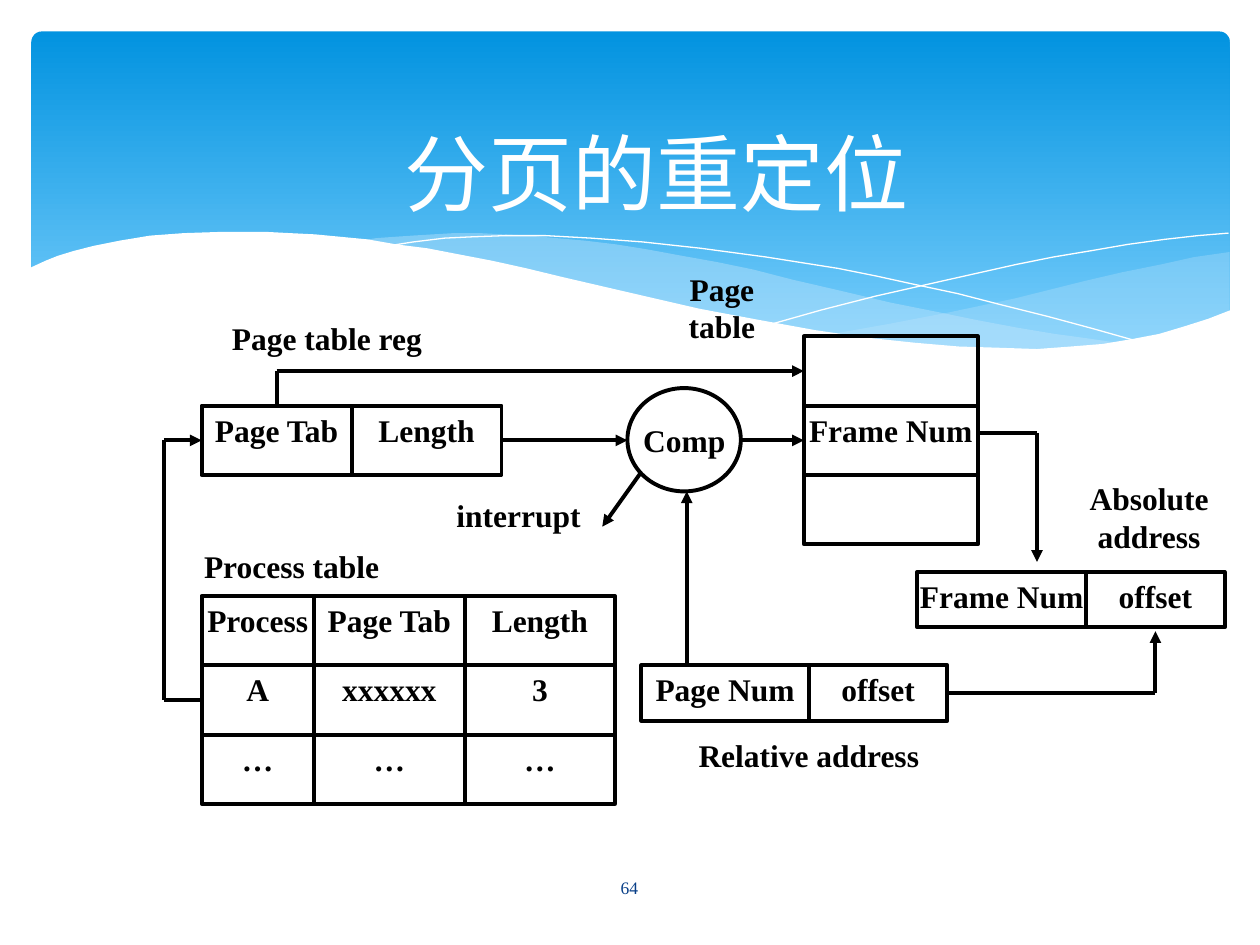
from lxml import etree
from pptx import Presentation
from pptx.dml.color import RGBColor
from pptx.enum.shapes import MSO_CONNECTOR, MSO_SHAPE
from pptx.enum.text import MSO_ANCHOR, PP_ALIGN
from pptx.oxml.ns import qn
from pptx.util import Inches, Pt

FONT = "Times New Roman"
BLACK = RGBColor(0x00, 0x00, 0x00)
WHITE = RGBColor(0xFF, 0xFF, 0xFF)
SKY_TOP = RGBColor(0x02, 0x93, 0xE0)
SKY_BOTTOM = RGBColor(0x83, 0xD3, 0xFE)
WAVE = RGBColor(0xC6, 0xE7, 0xFC)
NUMBER_BLUE = RGBColor(0x07, 0x3E, 0x87)

TITLE = "分页的重定位"

# Filled waves: points, colour, opacity in percent
RIGHT_WAVE = [
    (9.76, 2), (9.48, 2.04), (9.21, 2.1), (8.91, 2.16), (8.61, 2.23), (8.05, 2.37),
    (7.53, 2.48), (7.06, 2.57), (6.61, 2.65), (6.91, 2.69), (7.18, 2.73), (7.45, 2.75),
    (7.69, 2.77), (8.03, 2.78), (8.35, 2.77), (8.63, 2.75), (8.89, 2.72), (9.13, 2.67),
    (9.35, 2.62), (9.49, 2.57), (9.63, 2.52), (9.76, 2.47)]
LONG_WAVE = [
    (8.93, 2.73), (8.66, 2.69), (8.37, 2.65), (8.07, 2.6), (7.75, 2.54), (7.41, 2.47),
    (7.06, 2.4), (6.68, 2.31), (6.29, 2.22), (5.98, 2.14), (5.69, 2.08), (5.41, 2.03),
    (5.14, 1.98), (4.89, 1.94), (4.64, 1.91), (4.41, 1.89), (4.2, 1.87), (3.99, 1.86),
    (3.8, 1.85), (3.61, 1.85), (3.28, 1.87), (2.99, 1.89), (2.86, 1.91), (3.23, 1.96),
    (3.62, 2.03), (4.04, 2.11), (4.49, 2.22), (4.91, 2.32), (5.3, 2.4), (5.66, 2.48),
    (6.01, 2.55), (6.34, 2.61), (6.65, 2.66), (6.95, 2.7), (7.22, 2.74), (7.48, 2.76),
    (7.73, 2.78), (8.07, 2.79), (8.38, 2.78), (8.67, 2.76)]
WHITE_WAVE = [
    (9.77, 2.46), (9.59, 2.53), (9.4, 2.59), (9.2, 2.65), (8.99, 2.69), (8.75, 2.73),
    (8.5, 2.75), (8.23, 2.77), (7.93, 2.76), (7.61, 2.75), (7.26, 2.72), (6.88, 2.68),
    (6.47, 2.62), (6.03, 2.54), (5.55, 2.45), (5.03, 2.33), (4.47, 2.2), (4.18, 2.13),
    (3.91, 2.07), (3.65, 2.02), (3.39, 1.97), (3.15, 1.94), (2.92, 1.9), (2.71, 1.88),
    (2.5, 1.86), (2.3, 1.85), (2.11, 1.84), (1.76, 1.84), (1.46, 1.85), (1.19, 1.87),
    (0.95, 1.91), (0.75, 1.95), (0.59, 1.99), (0.46, 2.03), (0.36, 2.07), (0.23, 2.13),
    (0.23, 3.29), (9.77, 3.29)]
FALLING_CURVE = [
    (3.09, 1.95), (3.28, 1.92), (3.53, 1.89), (3.74, 1.88), (4.01, 1.87), (4.33, 1.87),
    (4.69, 1.89), (5.1, 1.92), (5.56, 1.97), (6.08, 2.04), (6.65, 2.13), (6.95, 2.19),
    (7.27, 2.26), (7.6, 2.33), (7.95, 2.42), (8.31, 2.51), (8.68, 2.61), (9.07, 2.72)]
RISING_CURVE = [
    (6.13, 2.57), (6.52, 2.46), (6.95, 2.35), (7.48, 2.23), (8.06, 2.1), (8.36, 2.04),
    (8.66, 1.99), (8.95, 1.94), (9.24, 1.9), (9.51, 1.87), (9.75, 1.85)]

# Grids of boxes: left, top, column widths, row height, rows of text
ROW = 0.55
ADDRESS_ROW = 0.44
GRIDS = {
    "register": (1.6, 3.22, [1.19, 1.19], ROW, [["Page Tab", "Length"]]),
    "process": (1.6, 4.73, [0.89, 1.2, 1.19], ROW, [
        ["Process", "Page Tab", "Length"],
        ["A", "xxxxxx", "3"],
        ["…", "…", "…"]]),
    "page table": (6.38, 2.67, [1.38], ROW, [[""], ["Frame Num"], [""]]),
    "relative": (5.09, 5.28, [1.33, 1.1], ADDRESS_ROW, [["Page Num", "offset"]]),
    "absolute": (7.28, 4.54, [1.34, 1.1], ADDRESS_ROW, [["Frame Num", "offset"]]),
}
COMPARATOR = (4.98, 3.08, 0.9, 0.82)

# Labels: left, top, width, height, paragraphs
LABELS = [
    (1.6, 4.3, 1.43, 0.28, ["Process table"]),
    (5.07, 3.3, 0.72, 0.42, ["Comp"]),
    (5.28, 2.1, 0.9, 0.79, ["Page table"]),
    (1.6, 2.49, 1.99, 0.31, ["Page table reg"]),
    (5.16, 5.8, 2.52, 0.39, ["Relative address"]),
    (3.54, 3.9, 1.15, 0.55, ["interrupt"]),
    (8.39, 3.76, 1.46, 0.55, ["Absolute", "address"]),
]

# Lines: start, end, arrowhead, joined cell at start, joined cell at end.
# A joined cell is (grid, row, column, side).
TOP, LEFT, RIGHT = 0, 1, 3
REGISTER_Y = 3.22 + ROW / 2
REGISTER_X = 1.6 + 1.19 / 2
POINTER_Y = 2.67 + ROW / 2
PROCESS_Y = 5.28 + ROW / 2
OFFSET_Y = 5.28 + ADDRESS_ROW / 2
LINES = [
    ((5.45, 5.28), (5.45, 3.9), True, None, None),
    ((3.98, REGISTER_Y), (4.98, REGISTER_Y), True, ("register", 0, 1, RIGHT), None),
    ((5.88, REGISTER_Y), (6.38, REGISTER_Y), True, None, ("page table", 1, 0, LEFT)),
    ((8.23, 3.44), (8.23, 4.46), True, None, None),
    ((7.76, 3.44), (8.23, 3.44), False, None, None),
    ((9.17, OFFSET_Y), (9.17, 5.01), True, None, None),
    ((7.52, OFFSET_Y), (9.17, OFFSET_Y), False, ("relative", 0, 1, RIGHT), None),
    ((REGISTER_X, POINTER_Y), (6.38, POINTER_Y), True, None, ("page table", 0, 0, LEFT)),
    ((REGISTER_X, POINTER_Y), (REGISTER_X, 3.22), False, None, ("register", 0, 0, TOP)),
    ((1.6, PROCESS_Y), (1.3, PROCESS_Y), False, ("process", 1, 0, LEFT), None),
    ((1.3, PROCESS_Y), (1.3, REGISTER_Y), False, None, None),
    ((1.3, REGISTER_Y), (1.6, REGISTER_Y), True, None, ("register", 0, 0, LEFT)),
    ((5.08, 3.76), (4.78, 4.18), True, None, None),
]


def write(shape, lines, size=18, color=BLACK, bold=True, insets=(0, 0.04), anchor=MSO_ANCHOR.TOP):
    frame = shape.text_frame
    frame.word_wrap = True
    frame.vertical_anchor = anchor
    frame.margin_left = frame.margin_right = Inches(insets[0])
    frame.margin_top = frame.margin_bottom = Inches(insets[1])
    for index, text in enumerate(lines):
        paragraph = frame.add_paragraph() if index else frame.paragraphs[0]
        paragraph.alignment = PP_ALIGN.CENTER
        run = paragraph.add_run()
        run.text = text
        run.font.name = FONT
        run.font.size = Pt(size)
        run.font.bold = bold
        run.font.color.rgb = color


def add_outline(slide, kind, box):
    shape = slide.shapes.add_shape(kind, *map(Inches, box))
    shape.shadow.inherit = False
    shape.fill.background()
    shape.line.color.rgb = BLACK
    shape.line.width = Pt(2.25)
    return shape


def add_curve(slide, points, closed):
    start, *rest = [(Inches(x), Inches(y)) for x, y in points]
    builder = slide.shapes.build_freeform(*start)
    builder.add_line_segments(rest, close=closed)
    shape = builder.convert_to_shape()
    shape.shadow.inherit = False
    return shape


def add_wave(slide, points, color, opacity):
    shape = add_curve(slide, points, True)
    shape.line.fill.background()
    shape.fill.solid()
    shape.fill.fore_color.rgb = color
    if opacity < 100:
        color_element = shape.element.spPr.find(qn("a:solidFill")).find(qn("a:srgbClr"))
        etree.SubElement(color_element, qn("a:alpha"), val=str(opacity * 1000))


def add_background(slide):
    sky = add_outline(slide, MSO_SHAPE.ROUNDED_RECTANGLE, (0.25, 0.25, 9.51, 2.7))
    sky.adjustments[0] = 0.03
    sky.line.fill.background()
    sky.fill.gradient()
    sky.fill.gradient_angle = 270
    for stop, position, color in zip(sky.fill.gradient_stops, (0, 1), (SKY_TOP, SKY_BOTTOM)):
        stop.position = position
        stop.color.rgb = color
    add_wave(slide, RIGHT_WAVE, WAVE, 29)
    add_wave(slide, LONG_WAVE, WAVE, 40)
    for points in (FALLING_CURVE, RISING_CURVE):
        curve = add_curve(slide, points, False)
        curve.fill.background()
        curve.line.color.rgb = WHITE
        curve.line.width = Pt(0)
    add_wave(slide, WHITE_WAVE, WHITE, 100)


def add_grid(slide, left, top, widths, height, rows):
    """Draw the boxes of one grid and return them by (row, column)."""
    cells = {}
    for row, texts in enumerate(rows):
        for column, text in enumerate(texts):
            box = (left + sum(widths[:column]), top + row * height, widths[column], height)
            cells[row, column] = add_outline(slide, MSO_SHAPE.RECTANGLE, box)
            if text:
                write(cells[row, column], [text])
    return cells


def add_line(slide, grids, start, end, arrow, start_cell, end_cell):
    points = map(Inches, (*start, *end))
    connector = slide.shapes.add_connector(MSO_CONNECTOR.STRAIGHT, *points)
    for cell, connect in ((start_cell, connector.begin_connect), (end_cell, connector.end_connect)):
        if cell:
            grid, row, column, side = cell
            connect(grids[grid][row, column], side)
    connector.line.color.rgb = BLACK
    connector.line.width = Pt(2.25)
    properties = connector.element.spPr
    if arrow:
        etree.SubElement(properties.find(qn("a:ln")), qn("a:tailEnd"), type="triangle")
    etree.SubElement(properties, qn("a:effectLst"))


def main():
    presentation = Presentation()
    presentation.slide_width, presentation.slide_height = Inches(10), Inches(7.5)
    slide = presentation.slides.add_slide(presentation.slide_layouts[5])
    add_background(slide)

    title = slide.shapes.title
    title.left, title.top, title.width, title.height = map(Inches, (0.92, 0.9, 8.58, 0.93))
    write(title, [TITLE], 48, WHITE, False, (0.1, 0.05), MSO_ANCHOR.MIDDLE)
    title.element.getparent().append(title.element)  # in front of the background

    grids = {name: add_grid(slide, *grid) for name, grid in GRIDS.items()}
    add_outline(slide, MSO_SHAPE.OVAL, COMPARATOR)
    for *box, lines in LABELS:
        write(slide.shapes.add_textbox(*map(Inches, box)), lines)
    for line in LINES:
        add_line(slide, grids, *line)

    number = slide.shapes.add_textbox(*map(Inches, (4.36, 6.84, 1.27, 0.4)))
    write(number, ["64"], 10, NUMBER_BLUE, False, (0.1, 0.05), MSO_ANCHOR.MIDDLE)
    presentation.save("out.pptx")


if __name__ == "__main__":
    main()
